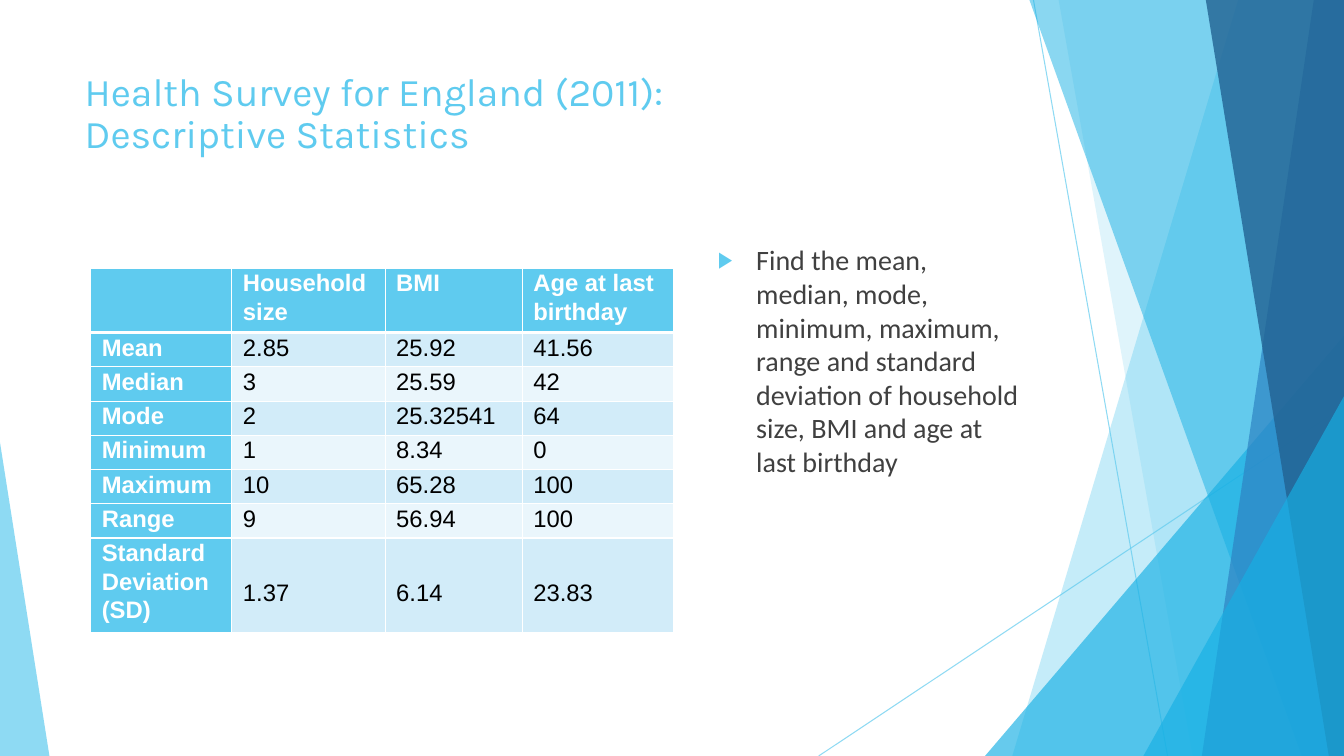
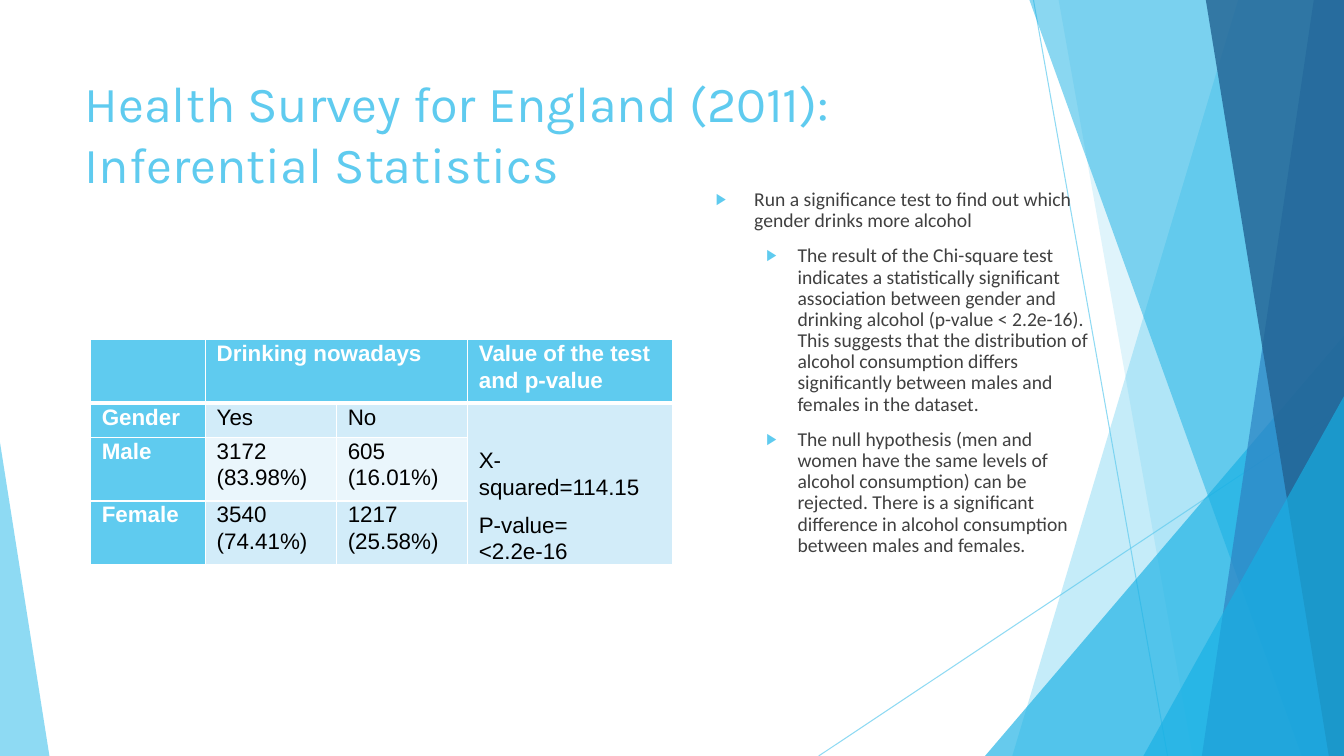
import dataclasses

import lxml.etree
import pptx
import pptx.dml.color
import pptx.enum.shapes
import pptx.enum.text
import pptx.oxml.ns
import pptx.util

Inches = pptx.util.Inches
Pt = pptx.util.Pt
Anchor = pptx.enum.text.MSO_ANCHOR


@dataclasses.dataclass(frozen=True)
class Theme:
    sky: str = "5FCBEF"
    cyan: str = "17B0E4"
    blue: str = "2E83C3"
    navy: str = "226292"
    pale: str = "D2ECF9"
    mist: str = "EAF6FC"
    white: str = "FFFFFF"
    black: str = "000000"
    grey: str = "404040"
    head: str = "Karla"
    text: str = "Calibri"
    grid: str = "Arial"
    large: int = 36
    medium: int = 28
    lead: int = 20
    note: int = 14
    wide: int = 17
    small: int = 16


THEME = Theme()
WIDTH, HEIGHT = 13.33, 7.5
TITLE = (0.74, 0.67, 9.4, 1.44)


def rgb(code):
    return pptx.dml.color.RGBColor.from_string(code)


def add(parent, tag, **attrs):
    """Append a DrawingML child element and return it."""
    node = lxml.etree.SubElement(parent, pptx.oxml.ns.qn(tag))
    for key, value in attrs.items():
        node.set(key, str(value))
    return node


def fade(shape, alpha):
    for node in shape.element.xpath(".//a:srgbClr"):
        add(node, "a:alpha", val=alpha * 1000)


def paint(shape, color, alpha):
    shape.shadow.inherit = False
    shape.fill.solid()
    shape.fill.fore_color.rgb = rgb(color)
    shape.line.fill.background()
    fade(shape, alpha)
    return shape


def ray(shapes, start, end):
    line = shapes.add_connector(
        pptx.enum.shapes.MSO_CONNECTOR.STRAIGHT,
        *(Inches(n) for n in start + end))
    line.line.color.rgb = rgb(THEME.sky)
    line.line.width = Pt(0.75)
    add(line.element.spPr, "a:effectLst")
    fade(line, 70)
    return line


def band(shapes, top, base, color, alpha):
    """Fill from a slanted left edge, given by its two x values, to the slide's right edge."""
    points = [(top, 0), (WIDTH, 0), (WIDTH, HEIGHT), (base, HEIGHT)]
    points = [(Inches(x), Inches(y)) for x, y in points]
    form = shapes.build_freeform(*points[0])
    form.add_line_segments(points[1:])
    return paint(form.convert_to_shape(), color, alpha)


def wedge(shapes, left, top, width, peak, color, alpha):
    """Stand a right triangle on the bottom edge, its tip at the given share of its width."""
    kind = pptx.enum.shapes.MSO_SHAPE.ISOSCELES_TRIANGLE
    shape = shapes.add_shape(kind, Inches(left), Inches(top),
                             Inches(width), Inches(HEIGHT - top))
    shape.adjustments[0] = peak
    return paint(shape, color, alpha)


def adorn(layout, slide):
    """Draw the shared bands on a slide, then move them behind the layout's placeholders."""
    shapes = slide.shapes
    parts = [
        ray(shapes, (10.25, 0), (11.58, HEIGHT)),
        ray(shapes, (WIDTH, 4.03), (8.12, HEIGHT)),
        band(shapes, 12.28, 10.04, THEME.sky, 36),
        band(shapes, 10.5, 11.83, THEME.sky, 20),
        wedge(shapes, 9.77, 3.33, 3.56, 1, THEME.cyan, 66),
        band(shapes, 10.21, 12.91, THEME.cyan, 50),
        band(shapes, 13.03, 11.92, THEME.blue, 70),
        band(shapes, 11.96, 13.18, THEME.navy, 80),
        wedge(shapes, 11.34, 3.93, 1.99, 1, THEME.cyan, 66),
        wedge(shapes, 0, 4.39, 0.49, 0, THEME.sky, 70),
    ]
    tree = layout.shapes.element
    for spot, part in enumerate(parts):
        part.element.xpath(".//p:cNvPr")[0].set("id", str(100 + spot))
        tree.insert(2 + spot, part.element)


def place(shape, box):
    shape.left, shape.top, shape.width, shape.height = map(Inches, box)
    frame = shape.text_frame
    frame.word_wrap = True
    frame.auto_size = pptx.enum.text.MSO_AUTO_SIZE.NONE
    frame.vertical_anchor = Anchor.TOP
    return frame


def style(para, name, size, color, bold=False):
    para.alignment = pptx.enum.text.PP_ALIGN.LEFT
    para.font.name = name
    para.font.size = Pt(size)
    para.font.color.rgb = rgb(color)
    para.font.bold = bold


def title(slide, text, size, pitch):
    frame = place(slide.shapes.title, TITLE)
    frame.text = text
    para = frame.paragraphs[0]
    para.line_spacing = pitch
    style(para, THEME.head, size, THEME.sky)


def bullet(para, left, hang):
    props = para._p.get_or_add_pPr()
    props.set("marL", str(Inches(left)))
    props.set("indent", str(-Inches(hang)))
    add(add(props, "a:buClr"), "a:srgbClr", val=THEME.sky)
    add(props, "a:buSzPct", val=80000)
    add(props, "a:buFont", typeface=THEME.grid)
    add(props, "a:buChar", char="▶")


def body(slide, box, items, size, pitch):
    """Fill the body placeholder with (level, text) items."""
    frame = place(slide.placeholders[1], box)
    frame.text = "\n".join(text for _, text in items)
    dents = [(0.38, 0.38), (0.81, 0.31)]
    for spot, (para, (level, _)) in enumerate(zip(frame.paragraphs, items)):
        para.level = level
        para.line_spacing = pitch
        para.space_before = Pt(10 if spot else 0)
        bullet(para, *dents[level])
        style(para, THEME.text, size, THEME.grey)


def edge(cell, row):
    """Rule a cell in white, heavier under the header row."""
    props = cell._tc.get_or_add_tcPr()
    thick = {"T": 3 if row == 1 else 1, "B": 3 if row == 0 else 1}
    for side in "LRTB":
        line = add(props, "a:ln" + side, w=Pt(thick.get(side, 1)))
        add(add(line, "a:solidFill"), "a:srgbClr", val=THEME.white)


def fill(cell, text, row, col, size):
    lead = row == 0 or col == 0
    edge(cell, row)
    cell.fill.solid()
    shade = THEME.sky if lead else THEME.pale if row % 2 else THEME.mist
    cell.fill.fore_color.rgb = rgb(shade)
    cell.margin_left = cell.margin_right = Inches(0.11)
    cell.margin_top = cell.margin_bottom = 0
    cell.text = text
    for para in cell.text_frame.paragraphs:
        para.line_spacing = 1.07
        para.space_after = Pt(8)
        style(para, THEME.grid, size, THEME.white if lead else THEME.black, lead)


def table(slide, top, widths, heights, data, size):
    frame = slide.shapes.add_table(
        len(heights), len(widths), Inches(0.9), Inches(top),
        Inches(sum(widths)), Inches(sum(heights)))
    grid = frame.table
    for col, width in zip(grid.columns, widths):
        col.width = Inches(width)
    for row, height in zip(grid.rows, heights):
        row.height = Inches(height)
    for r, line in enumerate(data):
        for c, text in enumerate(line):
            fill(grid.cell(r, c), text, r, c, size)
    return grid


def describe(slide):
    title(slide, "Health Survey for England (2011):\vDescriptive Statistics",
          THEME.medium, 0.9)
    body(slide, (7.02, 2.36, 3.2, 4.24), [
        (0, "Find the mean, median, mode, minimum, maximum, range and standard "
            "deviation of household size, BMI and age at last birthday"),
    ], THEME.lead, 1.0)
    data = [
        ("", "Household size", "BMI", "Age at last birthday"),
        ("Mean", "2.85", "25.92", "41.56"),
        ("Median", "3", "25.59", "42"),
        ("Mode", "2", "25.32541", "64"),
        ("Minimum", "1", "8.34", "0"),
        ("Maximum", "10", "65.28", "100"),
        ("Range", "9", "56.94", "100"),
        ("Standard Deviation (SD)", "1.37", "6.14", "23.83"),
    ]
    grid = table(slide, 2.66, [1.4, 1.52, 1.36, 1.5],
                 [0.64] + [0.34] * 6 + [0.94], data, THEME.wide)
    for col in range(1, 4):
        grid.cell(7, col).margin_top = Inches(0.4)


def infer(slide):
    title(slide, "Health Survey for England (2011): Inferential Statistics",
          THEME.large, 1.0)
    body(slide, (7, 1.83, 3.93, 5.67), [
        (0, "Run a significance test to find out which gender drinks more alcohol"),
        (1, "The result of the Chi-square test indicates a statistically "
            "significant association between gender and drinking alcohol "
            "(p-value < 2.2e-16).  This suggests that the distribution of alcohol "
            "consumption differs significantly between males and females in the "
            "dataset."),
        (1, "The null hypothesis (men and women have the same levels of alcohol "
            "consumption) can be rejected. There is a significant difference in "
            "alcohol consumption between males and females."),
    ], THEME.note, 0.9)
    data = [
        ("", "Drinking nowadays", "", "Value of the test and p-value"),
        ("Gender", "Yes", "No", "X-squared=114.15\nP-value= <2.2e-16"),
        ("Male", "3172 (83.98%)", "605 (16.01%)", ""),
        ("Female", "3540 (74.41%)", "1217 (25.58%)", ""),
    ]
    grid = table(slide, 3.37, [1.14, 1.3, 1.3, 2.03],
                 [0.63, 0.34, 0.63, 0.63], data, THEME.small)
    grid.cell(0, 1).merge(grid.cell(0, 2))
    grid.cell(1, 3).merge(grid.cell(3, 3))
    grid.cell(1, 3).vertical_anchor = Anchor.BOTTOM


def main():
    deck = pptx.Presentation()
    deck.slide_width, deck.slide_height = Inches(WIDTH), Inches(HEIGHT)
    layout = deck.slide_layouts[1]
    first, second = (deck.slides.add_slide(layout) for _ in range(2))
    adorn(layout, first)
    describe(first)
    infer(second)
    deck.save("out.pptx")


if __name__ == "__main__":
    main()
